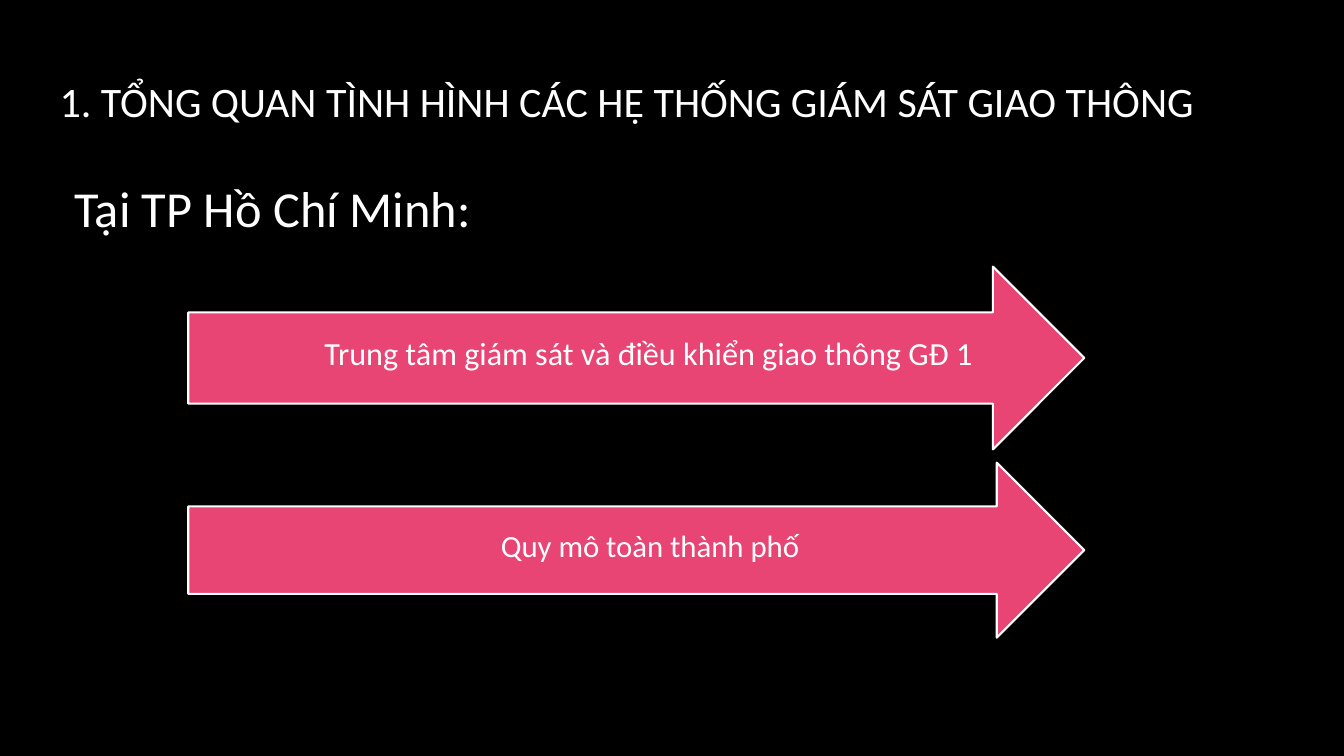
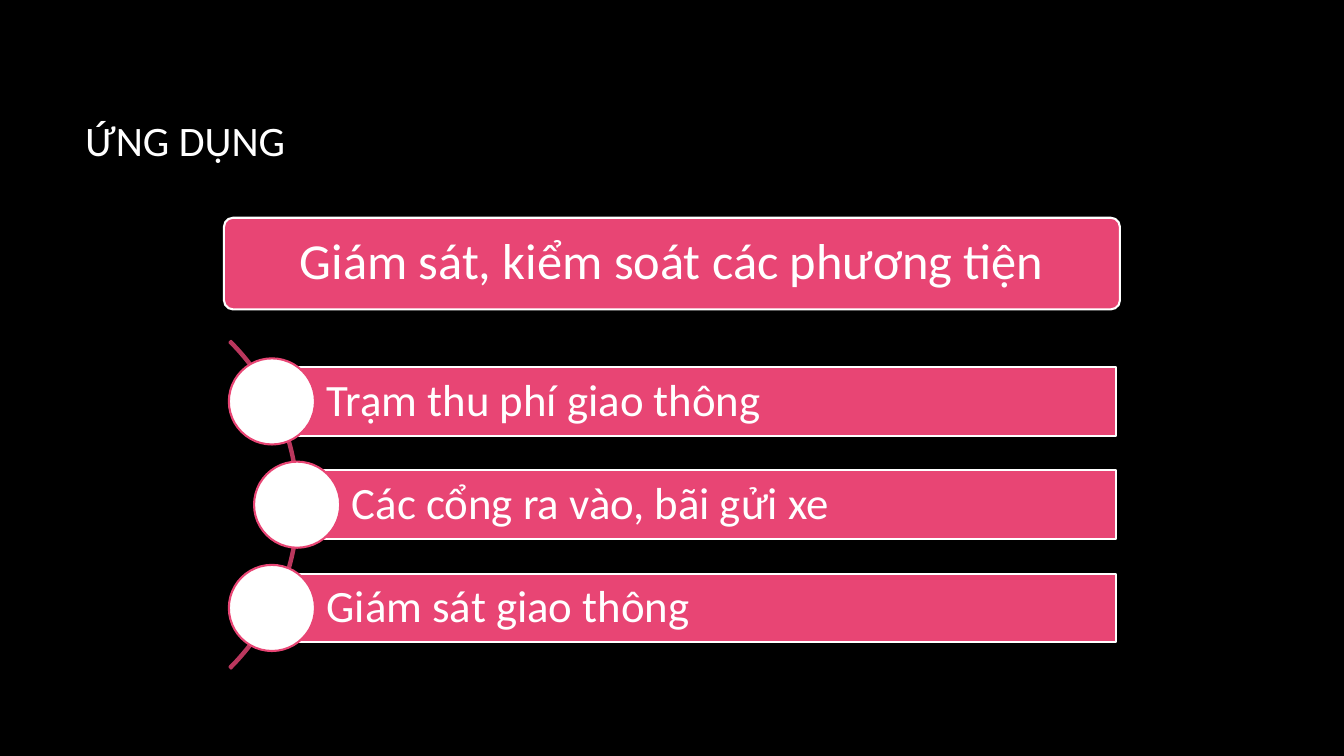
"""Build two slides on traffic monitoring systems and their applications."""
from pptx import Presentation
from pptx.dml.color import RGBColor
from pptx.enum.shapes import MSO_SHAPE as Preset
from pptx.enum.text import MSO_ANCHOR as Anchor, PP_ALIGN as Align
from pptx.util import Pt

COLORS = {"background": "000000", "white": "FFFFFF", "pink": "E84574", "arc": "BA375D"}
FONT = "Calibri"
TITLE_SIZE = 30


def write_text(shape, text, size, align=Align.LEFT, anchor=Anchor.MIDDLE, insets=(7.2, 3.6, 7.2, 3.6), spacing=1.0):
    frame = shape.text_frame
    frame.text = text
    frame.word_wrap = True
    frame.vertical_anchor = anchor
    frame.margin_left, frame.margin_top, frame.margin_right, frame.margin_bottom = map(Pt, insets)
    paragraph = frame.paragraphs[0]
    paragraph.alignment = align
    paragraph.line_spacing = spacing
    font = paragraph.runs[0].font
    font.name = FONT
    font.size = Pt(size)
    font.color.rgb = RGBColor.from_string(COLORS["white"])


def add_preset(slide, preset, box, fill="pink", line="white"):
    shape = slide.shapes.add_shape(preset, *map(Pt, box))
    shape.shadow.inherit = False
    if fill:
        shape.fill.solid()
        shape.fill.fore_color.rgb = RGBColor.from_string(COLORS[fill])
    else:
        shape.fill.background()
    shape.line.color.rgb = RGBColor.from_string(COLORS[line])
    shape.line.width = Pt(1.5)
    return shape


presentation = Presentation()
presentation.slide_width = Pt(960)
presentation.slide_height = Pt(540)

titles = [
    ("1. TỔNG QUAN TÌNH HÌNH CÁC HỆ THỐNG GIÁM SÁT GIAO THÔNG", (35.5, 48.5, 924.5, 47)),
    ("ỨNG DỤNG", (54, 60.5, 798, 78)),
]
slides = []
for text, box in titles:
    slide = presentation.slides.add_slide(presentation.slide_layouts[6])
    slide.background.fill.solid()
    slide.background.fill.fore_color.rgb = RGBColor.from_string(COLORS["background"])
    write_text(slide.shapes.add_textbox(*map(Pt, box)), text, TITLE_SIZE)
    slides.append(slide)
overview, applications = slides

city = overview.shapes.add_textbox(Pt(46), Pt(123), Pt(798), Pt(52))
write_text(city, "Tại TP Hồ Chí Minh:", 36, anchor=Anchor.TOP)

arrows = [
    ("Trung tâm giám sát và điều khiển giao thông GĐ 1", 23, 190.5, 130.5),
    ("Quy mô toàn thành phố", 22, 330.5, 125),
]
for text, size, top, height in arrows:
    arrow = add_preset(overview, Preset.RIGHT_ARROW, (134.5, top, 640, height))
    write_text(arrow, text, size, Align.CENTER, insets=(51, 0, 0, 4), spacing=0.9)

ARC_SIZE = 331
MIDDLE = 360.5
arc = add_preset(applications, Preset.BLOCK_ARC, (-117.5, MIDDLE - ARC_SIZE / 2, ARC_SIZE, ARC_SIZE), None, "arc")
for index, value in enumerate((189, 27, 0.005)):
    arc.adjustments[index] = value

BAR_RIGHT, BAR_HEIGHT, BAR_PITCH, CIRCLE_SIZE = 797, 49, 73.75, 61.5
bars = [
    ("Trạm thu phí giao thông", 194.25),
    ("Các cổng ra vào, bãi gửi xe", 212.25),
    ("Giám sát giao thông", 194.25),
]
for index, (text, left) in enumerate(bars):
    center = MIDDLE + (index - 1) * BAR_PITCH
    bar = add_preset(applications, Preset.RECTANGLE, (left, center - BAR_HEIGHT / 2, BAR_RIGHT - left, BAR_HEIGHT))
    write_text(bar, text, 32, insets=(39, 6.5, 6.5, 6.5), spacing=0.9)
    radius = CIRCLE_SIZE / 2
    add_preset(applications, Preset.OVAL, (left - radius, center - radius, CIRCLE_SIZE, CIRCLE_SIZE), "white", "pink")

heading = add_preset(applications, Preset.ROUNDED_RECTANGLE, (160, 155.5, 640, 65.5))
heading.adjustments[0] = 0.1
write_text(heading, "Giám sát, kiểm soát các phương tiện", 36, Align.CENTER, insets=(11, 11, 11, 11), spacing=0.9)

presentation.save("out.pptx")
